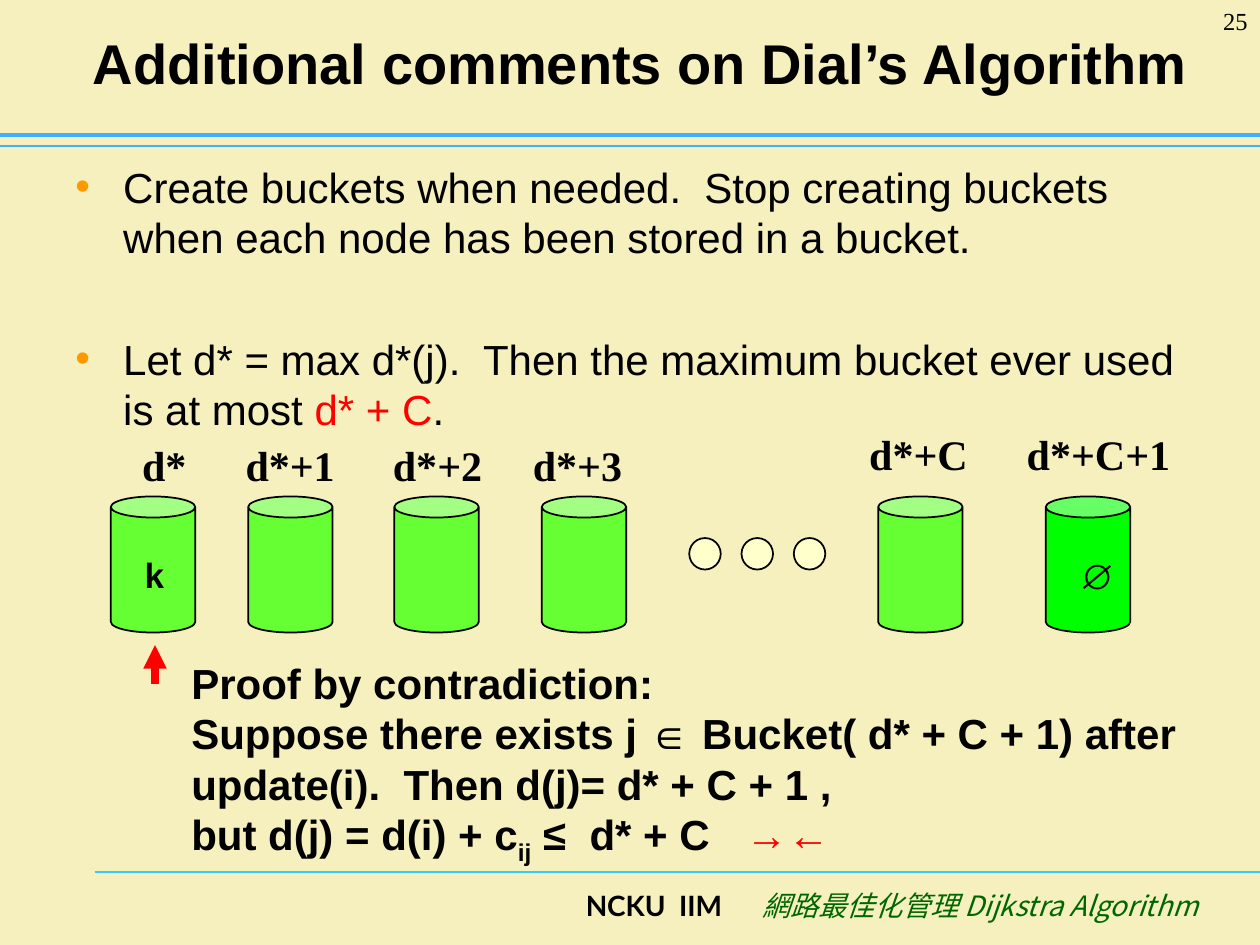
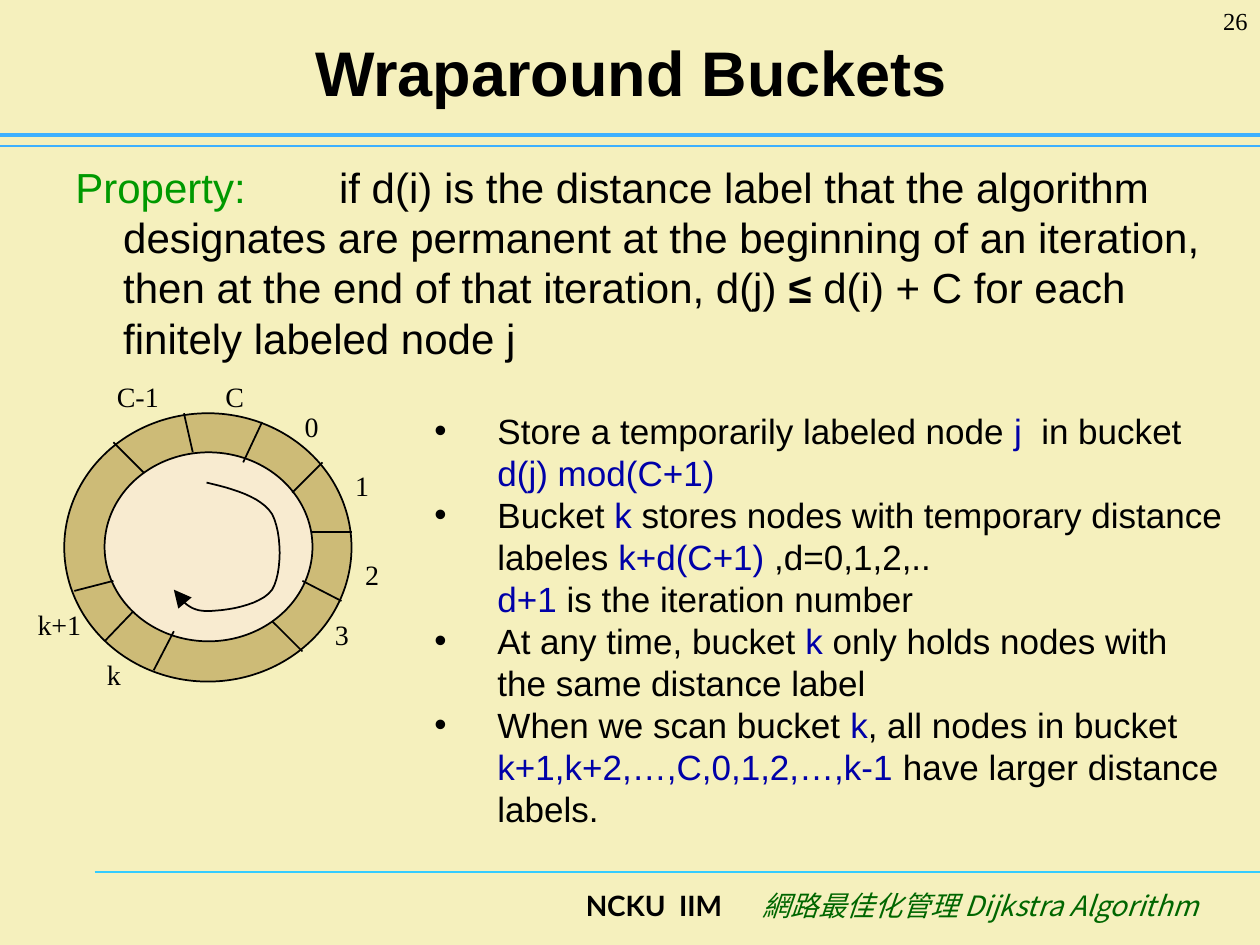
from lxml.etree import SubElement
from pptx import Presentation
from pptx.dml.color import RGBColor
from pptx.enum.shapes import MSO_CONNECTOR, MSO_SHAPE
from pptx.enum.text import MSO_ANCHOR as ANCHOR, PP_ALIGN as ALIGN
from pptx.oxml.ns import qn
from pptx.util import Inches, Pt

# ---- Shared look ----
BACKGROUND, BLACK, RED, BLUE, GREEN = "F5F0BD", "000000", "FF0000", "0000A8", "009900"
SANS, SERIF, CJK = "Arial", "Times New Roman", "Noto Sans CJK SC"
RULES = [  # start, end, colour, weight
    ((0.75, 6.92), (10, 6.92), "33CCFF", 0.75),
    ((0, 1.16), (10, 1.16), "3DB0FF", 0.75),
    ((0, 1.07), (10, 1.07), "3DB0FF", 2.5),
]
FOOTERS = [  # box, text, format
    ((1.83, 7, 4, 0.5), "NCKU  IIM", dict(size=16, name="Lato", bold=True)),
    ((5.7, 7, 3.91, 0.5), "網路最佳化管理 Dijkstra Algorithm",
     dict(size=16, name=CJK, color="006600", italic=True)),
]
BODY = dict(size=24, name=SANS)
NOTE = dict(size=20, name=SANS)
BUCKET_LABEL = dict(size=24, name=SERIF, bold=True)
BUCKET_CONTENT = dict(size=20, name=SANS, bold=True)
RING_LABEL = dict(size=16, name=SERIF)
PAGE_NUMBER = dict(size=14, name=SERIF)

# ---- Slide 25: a paragraph is a list of (text, changes to the format) ----
COMMENTS = [
    [("Create buckets when needed.  Stop creating buckets when each node has been "
      "stored in a bucket.", {})],
    [("Let d* = max d*(j).  Then the maximum bucket ever used is at most ", {}),
     ("d* + C", dict(color=RED)), (".", {})],
]
PROOF = [
    [("Proof by contradiction: \nSuppose there exists j ∈ Bucket( d* + C + 1) after "
      "update(i).  Then d(j)= d* + C + 1 ,", {})],
    [("but d(j) = d(i) + c", {}), ("ij", dict(baseline=-25)), (" ≤  d* + C\t", {}),
     ("→←", dict(color=RED))],
]
BUCKETS = [  # left, label, label box (left, top, width), fill
    (0.88, "d*", (1.03, 3.44, 0.61), "66FF33"),
    (1.97, "d*+1", (1.85, 3.44, 0.95), "66FF33"),
    (3.13, "d*+2", (3.02, 3.44, 0.95), "66FF33"),
    (4.3, "d*+3", (4.13, 3.44, 0.95), "66FF33"),
    (6.97, "d*+C", (6.8, 3.35, 1.08), "66FF33"),
    (8.3, "d*+C+1", (8.05, 3.35, 1.42), "00FF00"),
]
BUCKET_CONTENTS = [((1.05, 4.34, 0.33, 0.44), "k"), ((8.47, 4.35, 0.5, 0.44), "∅")]

# ---- Slide 26 ----
PROPERTY = [[
    ("Property:", dict(color=GREEN)), (" ", dict(spacing=46.7)),
    ("if d(i) is the distance label that the algorithm designates are permanent at "
     "the beginning of an iteration, then at the end of that iteration, d(j) ", {}),
    ("≤ ", dict(bold=True)), ("d(i) + C for each finitely labeled node j", {}),
]]
KEY = dict(color=BLUE)
NOTES = [
    [("Store a temporarily labeled node ", {}), ("j ", KEY), (" in bucket ", {}),
     ("d(j) mod(C+1)", KEY)],
    [("Bucket ", {}), ("k ", KEY), ("stores nodes with temporary distance labeles ", {}),
     ("k+d(C+1)", KEY), (" ,d=0,1,2,.. \n", {}), ("d+1", KEY),
     (" is the iteration number", {})],
    [("At any time, bucket ", {}), ("k", KEY),
     (" only holds nodes with the same distance label", {})],
    [("When we scan bucket ", {}), ("k", KEY), (", all nodes in bucket ", {}),
     ("k+1,k+2,…,C,0,1,2,…,k-1", KEY), (" have larger distance labels.", {})],
]
RING = [((0.51, 3.28, 2.28, 2.13), "CDBB77"), ((0.83, 3.59, 1.65, 1.5), "F8EBD0")]
DIVIDERS = [
    ((0.9, 3.51), (1.14, 3.75)), ((1.46, 3.28), (1.53, 3.59)),
    ((2.08, 3.35), (1.93, 3.67)), ((2.56, 3.67), (2.32, 3.91)),
    ((2.48, 4.22), (2.79, 4.22)), ((2.4, 4.61), (2.71, 4.77)),
    ((2.16, 4.93), (2.4, 5.17)), ((0.9, 4.61), (0.59, 4.69)),
    ((1.38, 5.01), (1.22, 5.32)), ((1.06, 4.85), (0.83, 5.09)),
]
RING_LABELS = [  # text, left, top, width
    ("0", 2.32, 3.2, 0.31), ("1", 2.72, 3.67, 0.31), ("2", 2.8, 4.38, 0.31),
    ("3", 2.56, 4.85, 0.31), ("k", 0.75, 5.17, 0.31), ("k+1", 0.2, 4.77, 0.63),
    ("C", 1.69, 2.96, 0.35), ("C-1", 0.83, 2.96, 0.63),
]
SCAN_START = (1.64, 3.83)
SCAN_CURVES = [  # two control points and an end point
    ((1.85, 3.88), (2.07, 3.94), (2.16, 4.08)),
    ((2.24, 4.23), (2.24, 4.55), (2.16, 4.68)),
    ((2.07, 4.81), (1.77, 4.85), (1.64, 4.85)),
    ((1.51, 4.85), (1.44, 4.77), (1.38, 4.68)),
]


def rgb(value):
    return RGBColor.from_string(value)


def inches(values):
    return [Inches(value) for value in values]


# ---- Text ----
def format_run(run, values):
    values = {"color": BLACK, "bold": False, **values}
    properties = run._r.get_or_add_rPr()
    for key, value in values.items():
        if key == "color":
            run.font.color.rgb = rgb(value)
        elif key == "baseline":
            properties.set("baseline", str(value * 1000))
        elif key == "spacing":
            properties.set("spc", str(round(value * 100)))
        else:
            setattr(run.font, key, Pt(value) if key == "size" else value)
    if values["name"] == CJK:
        SubElement(properties, qn("a:ea")).set("typeface", CJK)


def fill_paragraph(paragraph, runs, style):
    for text, changes in runs:
        for index, line in enumerate(text.split("\n")):
            if index:
                paragraph.add_line_break()
            if line:
                run = paragraph.add_run()
                run.text = line
                format_run(run, {**style, **changes})


def set_indent(paragraph, margin=0, bullet=None, tab=None):
    properties = paragraph._p.get_or_add_pPr()
    if margin:
        properties.set("marL", str(Inches(margin)))
        properties.set("indent", str(-Inches(margin)))
    if bullet:
        color = SubElement(properties, qn("a:buClr"))
        SubElement(color, qn("a:srgbClr")).set("val", bullet)
        SubElement(properties, qn("a:buFont")).set("typeface", SANS)
        SubElement(properties, qn("a:buChar")).set("char", "•")
    if tab:
        stop = SubElement(SubElement(properties, qn("a:tabLst")), qn("a:tab"))
        stop.set("pos", str(Inches(tab)))
        stop.set("algn", "l")


def add_label(slide, box, text, style, align=ALIGN.LEFT, wrap=False):
    frame = slide.shapes.add_textbox(*inches(box)).text_frame
    frame.word_wrap = wrap
    frame.paragraphs[0].alignment = align
    fill_paragraph(frame.paragraphs[0], [(text, {})], style)


def add_body(slide, box, paragraphs, style, gap=0, **indent):
    frame = slide.shapes.add_textbox(*inches(box)).text_frame
    frame.word_wrap = True
    for index, runs in enumerate(paragraphs):
        paragraph = frame.add_paragraph() if index else frame.paragraphs[0]
        set_indent(paragraph, **indent)
        paragraph.line_spacing = Pt(style["size"] * 1.2)
        if index and gap:
            paragraph.space_before = Pt(gap)
        fill_paragraph(paragraph, runs, style)


# ---- Lines and shapes ----
def set_line(line, color=BLACK, weight=1, head=None):
    line.color.rgb = rgb(color)
    line.width = Pt(weight)
    if head:
        end = SubElement(line._get_or_add_ln(), qn("a:tailEnd"))
        for key, value in dict(type="triangle", w=head, len=head).items():
            end.set(key, value)


def add_line(slide, start, end, *style):
    connector = slide.shapes.add_connector(MSO_CONNECTOR.STRAIGHT, *inches(start + end))
    set_line(connector.line, *style)
    SubElement(connector._element.spPr, qn("a:effectLst"))


def add_figure(slide, kind, box, fill):
    shape = slide.shapes.add_shape(kind, *inches(box))
    shape.shadow.inherit = False
    shape.fill.solid()
    shape.fill.fore_color.rgb = rgb(fill)
    set_line(shape.line)
    return shape


def add_curve(slide, start, curves, steps=12):
    points, origin = [], start
    for curve in curves:
        corners = (origin, *curve)
        for step in range(1, steps + 1):
            t = step / steps
            weights = ((1 - t) ** 3, 3 * t * (1 - t) ** 2, 3 * t * t * (1 - t), t ** 3)
            points.append(tuple(
                round(sum(w * corner[axis] for w, corner in zip(weights, corners)) * 1000)
                for axis in (0, 1)))
        origin = curve[-1]
    builder = slide.shapes.build_freeform(
        *[round(value * 1000) for value in start], scale=Inches(1) / 1000)
    builder.add_line_segments(points, close=False)
    shape = builder.convert_to_shape()
    shape.shadow.inherit = False
    shape.fill.background()
    set_line(shape.line, head="lg")


# ---- Slides ----
def add_slide(presentation, number, title, box, size):
    slide = presentation.slides.add_slide(presentation.slide_layouts[5])
    for rule in RULES:
        add_line(slide, *rule)
    for footer in FOOTERS:
        add_label(slide, *footer, align=ALIGN.RIGHT, wrap=True)
    add_label(slide, (9.17, 0, 0.83, 0.5), str(number), PAGE_NUMBER, ALIGN.RIGHT, True)
    heading = slide.shapes.title
    heading.left, heading.top, heading.width, heading.height = inches(box)
    frame = heading.text_frame
    frame.vertical_anchor = ANCHOR.MIDDLE
    frame.paragraphs[0].alignment = ALIGN.CENTER
    fill_paragraph(frame.paragraphs[0], [(title, {})],
                   dict(size=size, name=SANS, bold=True))
    return slide


def build_comments(presentation):
    slide = add_slide(presentation, 25, "Additional comments on Dial’s Algorithm",
                      (0.42, 0, 9.33, 0.99), 32)
    # The gap leaves one empty line between the two comments
    add_body(slide, (0.5, 1.23, 9.23, 3.13), COMMENTS, BODY, gap=40.8,
             margin=0.38, bullet="FF9900")
    for left, label, label_box, fill in BUCKETS:
        can = add_figure(slide, MSO_SHAPE.CAN, (left, 3.94, 0.67, 1.08), fill)
        can.adjustments[0] = 0.25
        add_label(slide, (*label_box, 0.5), label, BUCKET_LABEL)
    for box, text in BUCKET_CONTENTS:
        add_label(slide, box, text, BUCKET_CONTENT)
    for index in range(3):
        dot_box = (5.47 + 0.415 * index, 4.27, 0.25, 0.25)
        add_figure(slide, MSO_SHAPE.OVAL, dot_box, "FFFFCC")
    add_line(slide, (1.23, 5.43), (1.23, 5.12), RED, 4.5, "med")
    add_body(slide, (1.42, 5.17, 8.58, 1.76), PROOF, {**BODY, "bold": True},
             gap=4, tab=4.4)


def build_wraparound(presentation):
    slide = add_slide(presentation, 26, "Wraparound Buckets", (0.51, 0.13, 9, 0.87), 36)
    add_body(slide, (0.5, 1.23, 9.23, 1.8), PROPERTY, BODY, margin=0.38)
    for box, fill in RING:
        add_figure(slide, MSO_SHAPE.OVAL, box, fill)
    for start, end in DIVIDERS:
        add_line(slide, start, end)
    for text, left, top, width in RING_LABELS:
        add_label(slide, (left, top, width, 0.37), text, RING_LABEL, wrap=len(text) > 1)
    add_curve(slide, SCAN_START, SCAN_CURVES)
    add_body(slide, (3.35, 3.2, 6.46, 3.44), NOTES, NOTE, margin=0.5, bullet=BLACK)


def main():
    presentation = Presentation()
    presentation.slide_width, presentation.slide_height = inches((10, 7.5))
    background = presentation.slide_master.background.fill
    background.solid()
    background.fore_color.rgb = rgb(BACKGROUND)
    build_comments(presentation)
    build_wraparound(presentation)
    presentation.save("out.pptx")


if __name__ == "__main__":
    main()
